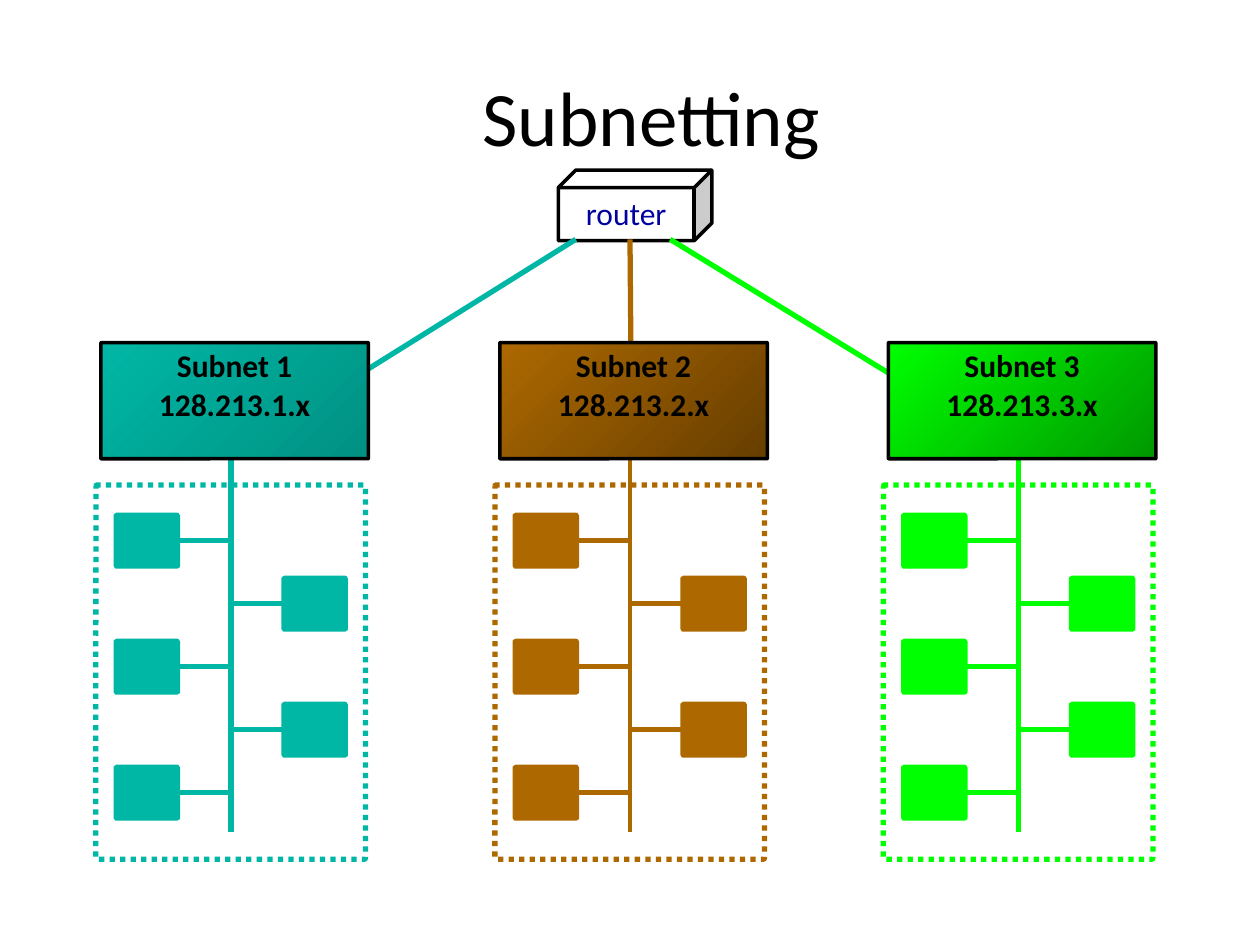
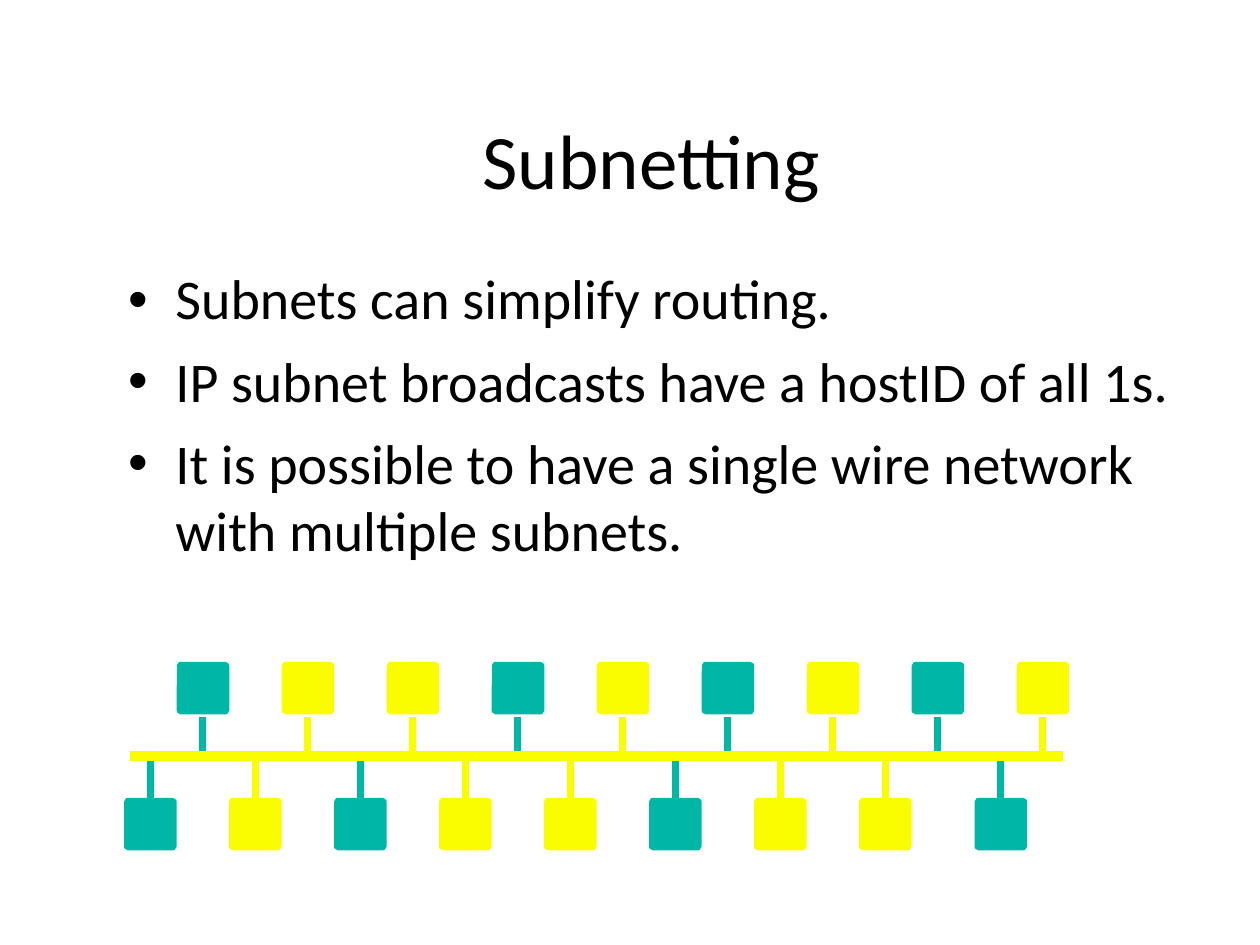
from lxml import etree
from pptx import Presentation
from pptx.dml.color import RGBColor
from pptx.enum import dml, shapes, text
from pptx.oxml import ns
from pptx.util import Pt

BLACK = RGBColor(0x00, 0x00, 0x00)
WHITE = RGBColor(0xFF, 0xFF, 0xFF)
NAVY = RGBColor(0x00, 0x02, 0x9F)
TEAL = RGBColor(0x00, 0xB7, 0xA5)
DARK_TEAL = RGBColor(0x00, 0x91, 0x83)
BROWN = RGBColor(0xAD, 0x69, 0x00)
DARK_BROWN = RGBColor(0x67, 0x3E, 0x00)
GREEN = RGBColor(0x00, 0xFF, 0x00)
DARK_GREEN = RGBColor(0x00, 0x98, 0x00)
YELLOW = RGBColor(0xFA, 0xFD, 0x00)


class Deck:
    FONT = "Calibri"
    LEFT, WIDTH = 66.2, 612

    def __init__(self):
        self.presentation = Presentation()
        self.presentation.slide_width = Pt(720)
        self.presentation.slide_height = Pt(540)
        self.slide = None

    def add_slide(self, title, top):
        layout = self.presentation.slide_layouts[5]
        self.slide = self.presentation.slides.add_slide(layout)
        shape = self.slide.shapes.title
        shape.left, shape.top = Pt(self.LEFT), Pt(top)
        shape.width, shape.height = Pt(self.WIDTH), Pt(90)
        self.set_text(shape, [title], 44, anchor=text.MSO_ANCHOR.MIDDLE)

    def set_text(self, shape, lines, size, color=BLACK, bold=False, wrap=True,
                 align=text.PP_ALIGN.CENTER, anchor=text.MSO_ANCHOR.TOP,
                 space=0, bullets=False):
        frame = shape.text_frame
        frame.word_wrap = wrap
        frame.vertical_anchor = anchor
        frame.text = "\n".join(lines)
        for index, paragraph in enumerate(frame.paragraphs):
            if bullets:
                self.add_bullet(paragraph)
            paragraph.alignment = align
            paragraph.line_spacing = 1.0 if index else 0.96
            paragraph.space_before = Pt(space if index else 0)
            font = paragraph.font
            font.name, font.size, font.bold = self.FONT, Pt(size), bold
            font.color.rgb = color

    def add_bullet(self, paragraph):
        properties = paragraph._p.get_or_add_pPr()
        properties.set("marL", str(Pt(27)))
        properties.set("indent", str(Pt(-27)))
        etree.SubElement(properties, ns.qn("a:buFont"), typeface="Arial")
        etree.SubElement(properties, ns.qn("a:buChar"), char="•")

    def add_bullets(self, lines, top, height):
        shape = self.slide.shapes.add_textbox(
            Pt(self.LEFT), Pt(top), Pt(self.WIDTH), Pt(height))
        self.set_text(shape, lines, 32, align=text.PP_ALIGN.LEFT, space=8,
                      bullets=True)

    def add_box(self, left, top, width, height, fill, line, weight,
                kind=shapes.MSO_SHAPE.ROUNDED_RECTANGLE, corner=0.004):
        """Fill is None, one colour, or a pair of colours for a gradient."""
        shape = self.slide.shapes.add_shape(
            kind, Pt(left), Pt(top), Pt(width), Pt(height))
        shape.adjustments[0] = corner
        shape.shadow.inherit = False
        shape.line.color.rgb = line
        shape.line.width = Pt(weight)
        if fill is None:
            shape.fill.background()
        elif isinstance(fill, RGBColor):
            shape.fill.solid()
            shape.fill.fore_color.rgb = fill
        else:
            shape.fill.gradient()
            shape.fill.gradient_angle = 315
            for stop, color in zip(shape.fill.gradient_stops, fill):
                stop.color.rgb = color
        return shape

    def add_line(self, x1, y1, x2, y2, color, weight=3):
        line = self.slide.shapes.add_connector(
            shapes.MSO_CONNECTOR.STRAIGHT, Pt(x1), Pt(y1), Pt(x2), Pt(y2))
        line.line.color.rgb = color
        line.line.width = Pt(weight)
        etree.SubElement(line._element.spPr, ns.qn("a:effectLst"))


def add_subnet_hosts(deck, spine, color, spine_weight):
    # Hosts alternate left and right of the spine
    for row in range(5):
        top = 294.5 + 36 * row
        side = 1 if row % 2 else -1
        host_left = spine + (30.3 if side > 0 else -65.6)
        deck.add_box(host_left, top, 35, 29, color, color, 3)
        deck.add_line(spine, top + 14.4, spine + side * 31, top + 14.4, color)
    deck.add_line(spine, 475.2, spine, 257, color, spine_weight)
    frame = deck.add_box(spine - 77.2, 277.2, 154, 213.8, None, color, 3)
    frame.line.dash_style = dml.MSO_LINE.ROUND_DOT


def build_router_slide(deck):
    deck.add_slide("Subnetting", 23.8)
    # Router
    router = deck.add_box(319, 97.2, 87.8, 40.3, WHITE, BLACK, 2,
                          shapes.MSO_SHAPE.CUBE, 0.25)
    deck.set_text(router, ["router"], 18, NAVY, wrap=False,
                  anchor=text.MSO_ANCHOR.MIDDLE)
    # Subnets: spine position, port on the router, colours, spine weight
    subnets = [(132, 329, TEAL, DARK_TEAL, 3),
               (360, 360, BROWN, DARK_BROWN, 2),
               (582, 383, GREEN, DARK_GREEN, 3)]
    for number, (spine, port, color, dark, weight) in enumerate(subnets, 1):
        add_subnet_hosts(deck, spine, color, weight)
        deck.add_line(spine + 1, 259.2, port, 136.8, color)
        label = deck.add_box(spine - 74.3, 195.8, 152.8, 66.4,
                             (color, dark), BLACK, 2)
        deck.set_text(label, [f"Subnet {number}", f"128.213.{number}.x"], 18,
                      bold=True)


def build_single_wire_slide(deck):
    deck.add_slide("Subnetting", 48.2)
    deck.add_bullets([
        "Subnets can simplify routing.",
        "IP subnet broadcasts have a hostID of all 1s.",
        "It is possible to have a single wire network with multiple subnets.",
    ], 149.8, 216)
    # Hosts above and below the wire: T is teal, Y is yellow
    colors = {"T": TEAL, "Y": YELLOW}
    rows = [("TYYTYTYTY", 103, 380.2, 409.7),
            ("TYTYYTYYT", 72.9, 457.9, 457.9)]
    for subnets, first_left, top, stem_end in rows:
        for index, subnet in enumerate(subnets):
            left = first_left + 60 * index
            if top > 432 and index == 8:
                left += 6  # the last lower host stands slightly apart
            color = colors[subnet]
            deck.add_box(left, top, 26, 26, color, color, 4)
            deck.add_line(left + 13, stem_end, left + 13, 429.8, color, 4)
    # Shared wire
    deck.add_line(74.2, 432, 607.7, 432, YELLOW, 6)


def main():
    deck = Deck()
    build_router_slide(deck)
    build_single_wire_slide(deck)
    deck.presentation.save("out.pptx")


if __name__ == "__main__":
    main()
